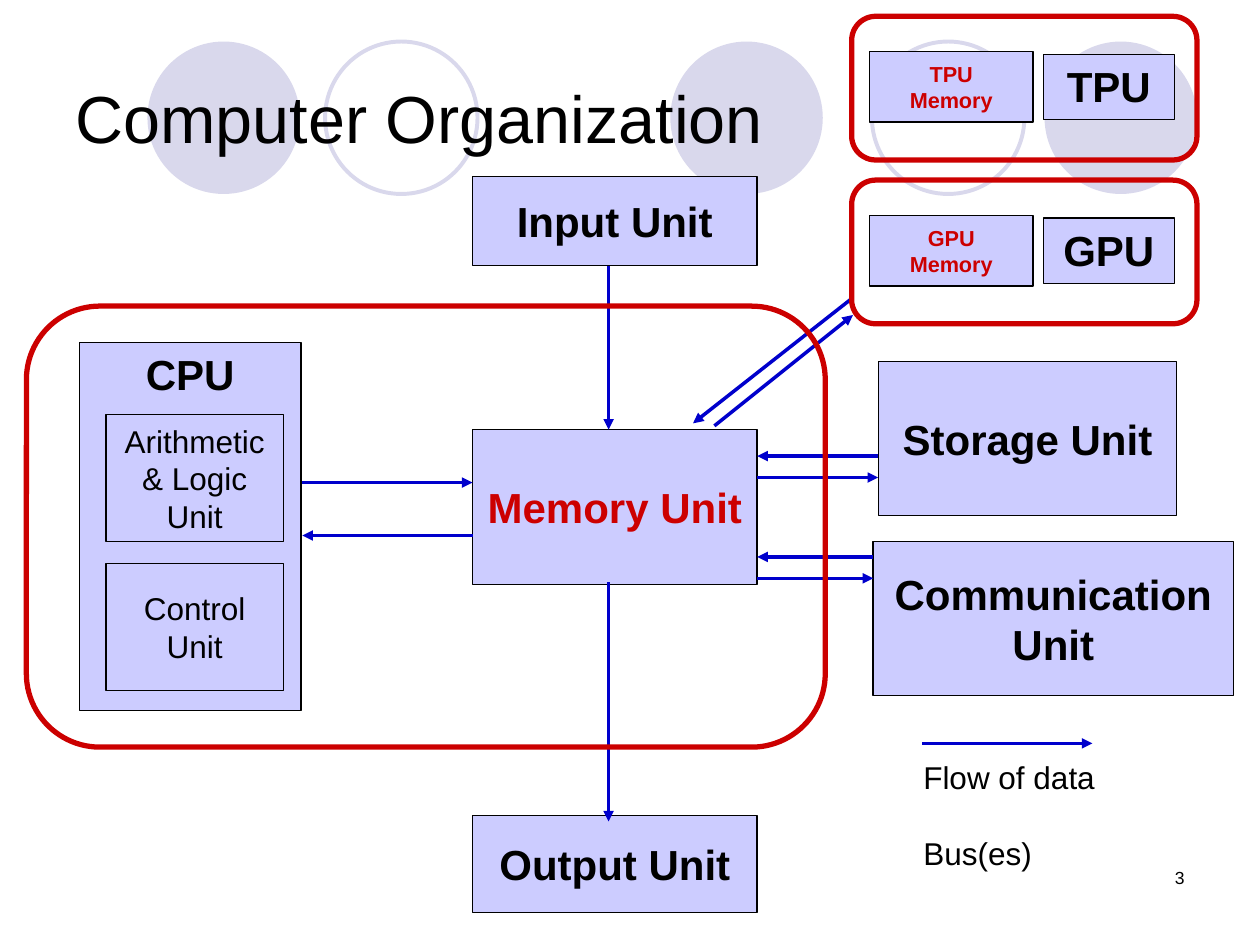
from lxml import etree
from pptx import Presentation
from pptx.dml.color import RGBColor
from pptx.enum.shapes import MSO_CONNECTOR, MSO_SHAPE
from pptx.enum.text import MSO_ANCHOR, PP_ALIGN
from pptx.oxml.ns import qn
from pptx.util import Inches, Pt

RECTANGLE, ROUNDED, OVAL = MSO_SHAPE.RECTANGLE, MSO_SHAPE.ROUNDED_RECTANGLE, MSO_SHAPE.OVAL
STRAIGHT = MSO_CONNECTOR.STRAIGHT
TOP, MIDDLE = MSO_ANCHOR.TOP, MSO_ANCHOR.MIDDLE
LEFT, CENTER, RIGHT = PP_ALIGN.LEFT, PP_ALIGN.CENTER, PP_ALIGN.RIGHT
BLACK, RED, BLUE, LAVENDER, PALE = "000000", "CC0000", "0000CC", "CCCCFF", "D9D8EC"


def color(value):
    """Turn a hex string into a colour."""
    return RGBColor.from_string(value)


def write(item, lines, size, ink=BLACK, bold=False, align=CENTER, anchor=MIDDLE, wrap=True, gap=0):
    """Write one paragraph per line, with a gap in points between them."""
    frame = item.text_frame
    frame.word_wrap = wrap
    frame.vertical_anchor = anchor
    for index, line in enumerate(lines):
        para = frame.paragraphs[0] if index == 0 else frame.add_paragraph()
        para.alignment = align
        if index and gap:
            para.space_before = Pt(gap)
        span = para.add_run()
        span.text = line
        span.font.name = "Arial"
        span.font.size = Pt(size)
        span.font.bold = bold
        span.font.color.rgb = color(ink)


def add_shape(page, kind, place, fill=None, line=None, width=0.75):
    """Add a preset shape with an optional fill and outline."""
    shape = page.shapes.add_shape(kind, *map(Inches, place))
    shape.shadow.inherit = False
    if fill:
        shape.fill.solid()
        shape.fill.fore_color.rgb = color(fill)
    else:
        shape.fill.background()
    if line:
        shape.line.color.rgb = color(line)
        shape.line.width = Pt(width)
    else:
        shape.line.fill.background()
    return shape


def add_box(page, place, lines, size=24, bold=True, **style):
    """Add a labelled unit box."""
    box = add_shape(page, RECTANGLE, place, LAVENDER, BLACK)
    write(box, lines, size, bold=bold, **style)


def add_frame(page, place):
    """Add a red rounded frame around a group of units."""
    add_shape(page, ROUNDED, place, line=RED, width=3)


def add_text(page, place, lines, size, **style):
    """Add a plain text box."""
    write(page.shapes.add_textbox(*map(Inches, place)), lines, size, **style)


def add_arrow(page, start, end):
    """Add a data flow arrow that points at its end."""
    arrow = page.shapes.add_connector(STRAIGHT, *map(Inches, start + end))
    arrow.line.color.rgb = color(BLUE)
    arrow.line.width = Pt(2)
    properties = arrow._element.spPr
    outline = properties.find(qn("a:ln"))
    etree.SubElement(outline, qn("a:tailEnd"), type="triangle")
    etree.SubElement(properties, qn("a:effectLst"))


def add_background(page):
    """Add the row of filled and outlined circles."""
    for left in (1.17, 5.32, 8.29):
        add_shape(page, OVAL, (left, 0.33, 1.21, 1.21), fill=PALE)
    for left in (2.58, 6.92):
        add_shape(page, OVAL, (left, 0.33, 1.21, 1.21), line=PALE, width=2.25)


def add_units(page):
    """Add the CPU and the units around it."""
    add_box(page, (0.63, 2.72, 1.76, 2.92), ["CPU"], anchor=TOP, wrap=False)
    add_box(page, (0.84, 3.29, 1.41, 1.01), ["Arithmetic", "& Logic", "Unit"], 18, False, wrap=False)
    add_box(page, (0.84, 4.47, 1.41, 1.01), ["Control", "Unit"], 18, False)
    add_box(page, (3.75, 1.4, 2.26, 0.71), ["Input Unit"])
    add_box(page, (3.75, 3.41, 2.26, 1.23), ["Memory Unit"], ink=RED)
    add_box(page, (3.75, 6.47, 2.26, 0.77), ["Output Unit"])
    add_box(page, (6.97, 2.87, 2.37, 1.22), ["Storage Unit"])
    add_box(page, (6.93, 4.3, 2.86, 1.22), ["Communication Unit"])


def add_flows(page):
    """Add the arrows between the units and the legend arrow."""
    flows = [
        ((2.4, 3.83), (3.75, 3.83)), ((3.75, 4.25), (2.4, 4.25)),
        ((4.83, 2.11), (4.83, 3.41)), ((4.83, 4.62), (4.83, 6.52)),
        ((6.97, 3.62), (6.01, 3.62)), ((6.01, 3.79), (6.97, 3.79)),
        ((6.93, 4.42), (6.01, 4.42)), ((6.01, 4.59), (6.93, 4.59)),
        ((6.76, 2.37), (5.5, 3.36)), ((5.67, 3.38), (6.77, 2.5)),
        ((7.32, 5.9), (8.67, 5.9)),
    ]
    for start, end in flows:
        add_arrow(page, start, end)


def add_accelerator(page, name, top):
    """Add a framed processor with its own memory."""
    add_frame(page, (6.76, top, 2.74, 1.14))
    add_box(page, (6.9, top + 0.28, 1.3, 0.56), [name, "Memory"], 12.4, ink=RED)
    add_box(page, (8.28, top + 0.3, 1.04, 0.52), [name], anchor=TOP, wrap=False)


def main():
    """Build the slide and save it."""
    deck = Presentation()
    deck.slide_width, deck.slide_height = Inches(10), Inches(7.5)
    page = deck.slides.add_slide(deck.slide_layouts[6])
    add_background(page)
    add_text(page, (0.5, 0.3, 9, 1.25), ["Computer Organization"], 38, align=LEFT)
    add_units(page)
    add_flows(page)
    add_frame(page, (0.21, 2.43, 6.34, 3.5))
    add_accelerator(page, "GPU", 1.43)
    add_accelerator(page, "TPU", 0.13)
    add_text(page, (7.23, 5.97, 1.56, 1), ["Flow of data", "Bus(es)"], 18,
             align=LEFT, anchor=TOP, wrap=False, gap=21.5)
    add_text(page, (7.17, 6.83, 2.33, 0.5), ["3"], 10, align=RIGHT, anchor=TOP)
    deck.save("out.pptx")


if __name__ == "__main__":
    main()
